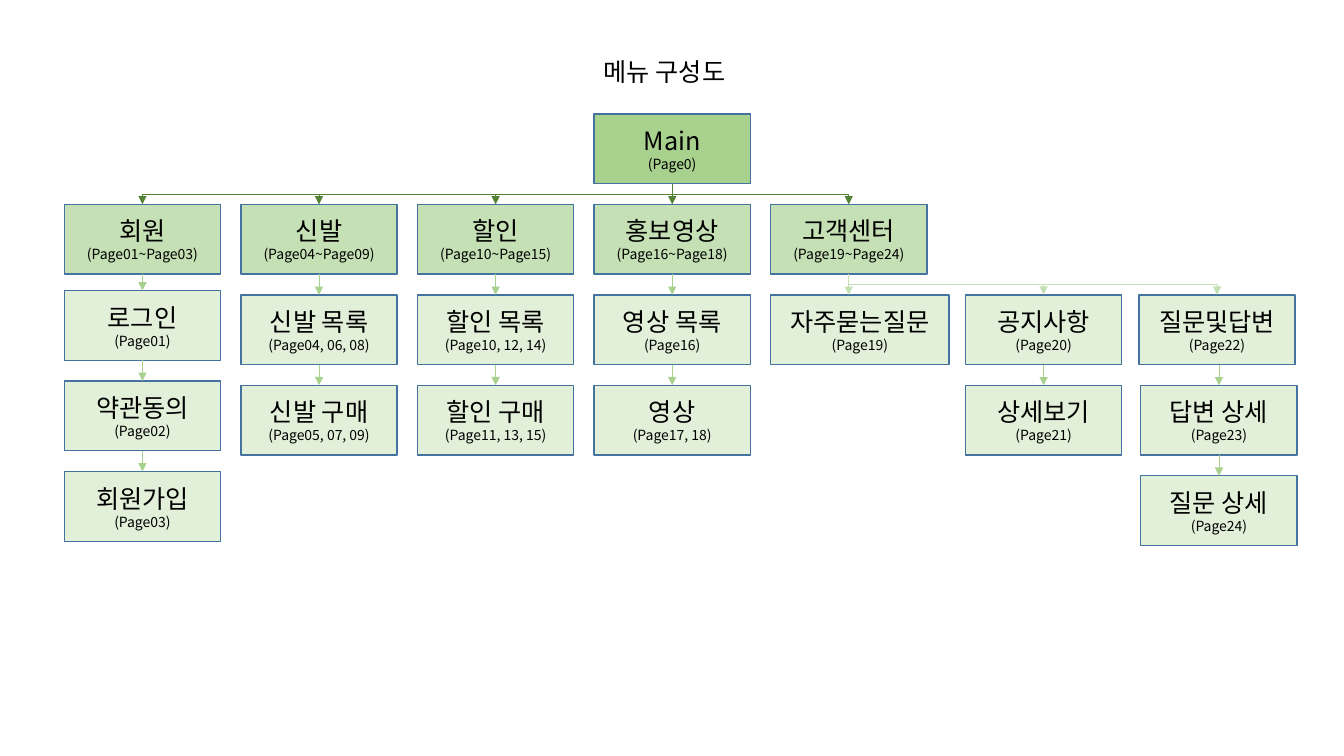
from lxml.etree import SubElement
from pptx import Presentation
from pptx.dml.color import RGBColor
from pptx.enum.shapes import MSO_CONNECTOR, MSO_SHAPE
from pptx.enum.text import MSO_ANCHOR, MSO_AUTO_SIZE, PP_ALIGN
from pptx.oxml.ns import qn
from pptx.util import Cm, Pt

FONT = "Noto Sans CJK KR"
MAIN_FILL, SECTION_FILL, PAGE_FILL = "A9D18E", "C5E0B4", "E2F0D9"
BOX_LINE = "43739E"
MAIN_ARROW, PAGE_ARROW, SUPPORT_ARROW = "548235", "A9D18E", "C5E0B4"

BOX_WIDTH, BOX_HEIGHT = 3.94, 1.76
FIRST_LEFT, COLUMN_STEP = 1.62, 4.45
FIRST_TOP, ROW_STEP = 2.87, 2.28
MEMBER_RISE = 0.11
MAIN_COLUMN = 3

SECTIONS = [
    ("회원", "(Page01~Page03)",
     [("로그인", "(Page01)"), ("약관동의", "(Page02)"), ("회원가입", "(Page03)")]),
    ("신발", "(Page04~Page09)",
     [("신발 목록", "(Page04, 06, 08)"), ("신발 구매", "(Page05, 07, 09)")]),
    ("할인", "(Page10~Page15)",
     [("할인 목록", "(Page10, 12, 14)"), ("할인 구매", "(Page11, 13, 15)")]),
    ("홍보영상", "(Page16~Page18)",
     [("영상 목록", "(Page16)"), ("영상", "(Page17, 18)")]),
    ("고객센터", "(Page19~Page24)", []),
]
# Left edge and width of the head, left edge of the pages below, then the pages
SUPPORT_BRANCHES = [
    (19.42, 4.5, 19.42, [("자주묻는질문", "(Page19)")]),
    (24.33, BOX_WIDTH, 24.33, [("공지사항", "(Page20)"), ("상세보기", "(Page21)")]),
    (28.7, BOX_WIDTH, 28.75,
     [("질문및답변", "(Page22)"), ("답변 상세", "(Page23)"), ("질문 상세", "(Page24)")]),
]


def color(hex_value):
    return RGBColor.from_string(hex_value)


def row_top(row):
    return FIRST_TOP + row * ROW_STEP


def column_left(column):
    return FIRST_LEFT + column * COLUMN_STEP


def center_x(box):
    return box.left + box.width // 2


def add_run(paragraph, text, size):
    run = paragraph.add_run()
    run.text = text
    run.font.size = Pt(size)
    run.font.name = FONT
    run.font.color.rgb = color("000000")
    SubElement(run.font._element, qn("a:ea"), typeface=FONT)


def add_title(slide, text):
    title = slide.shapes.title
    title.left, title.top, title.width, title.height = Cm(14.96), Cm(1.3), Cm(3.94), Cm(1.02)
    frame = title.text_frame
    frame.word_wrap = False
    frame.auto_size = MSO_AUTO_SIZE.SHAPE_TO_FIT_TEXT
    frame.vertical_anchor = MSO_ANCHOR.TOP
    frame.paragraphs[0].alignment = PP_ALIGN.LEFT
    add_run(frame.paragraphs[0], text, 18)


def add_box(slide, left, top, name, pages, fill, width=BOX_WIDTH):
    box = slide.shapes.add_shape(
        MSO_SHAPE.RECTANGLE, Cm(left), Cm(top), Cm(width), Cm(BOX_HEIGHT))
    box.shadow.inherit = False
    box.fill.solid()
    box.fill.fore_color.rgb = color(fill)
    box.line.color.rgb = color(BOX_LINE)
    box.line.width = Pt(1)
    frame = box.text_frame
    frame.word_wrap = True
    frame.vertical_anchor = MSO_ANCHOR.MIDDLE
    for paragraph, text, size in (
            (frame.paragraphs[0], name, 18), (frame.add_paragraph(), pages, 10)):
        paragraph.alignment = PP_ALIGN.CENTER
        add_run(paragraph, text, size)
    return box


def add_arrow(slide, kind, start, end, line_color):
    arrow = slide.shapes.add_connector(kind, *start, *end)
    arrow.line.color.rgb = color(line_color)
    arrow.line.width = Pt(0.5)
    SubElement(arrow.line._get_or_add_ln(), qn("a:tailEnd"), type="triangle")
    SubElement(arrow._element.spPr, qn("a:effectLst"))
    return arrow


def add_drop(slide, parent, child, x, line_color):
    """Vertical arrow at x, joined to each box whose middle lies there."""
    arrow = add_arrow(slide, MSO_CONNECTOR.STRAIGHT, (x, parent.top + parent.height),
                      (x, child.top), line_color)
    if x == center_x(parent):
        arrow.begin_connect(parent, 2)
    if x == center_x(child):
        arrow.end_connect(child, 0)


def add_elbow(slide, parent, child, line_color):
    """Arrow that leaves downwards, runs sideways and enters from above."""
    x1, y1 = center_x(parent), parent.top + parent.height
    x2, y2 = center_x(child), child.top
    arrow = add_arrow(slide, MSO_CONNECTOR.ELBOW, (x1, y1), (x2, y2), line_color)
    arrow.begin_connect(parent, 2)
    arrow.end_connect(child, 0)
    # A quarter turn makes the first and last segments vertical
    across, down = abs(x2 - x1), y2 - y1
    frame = arrow._element.spPr.find(qn("a:xfrm"))
    frame.attrib.clear()
    frame.set("rot", "5400000" if x2 < x1 else "16200000")
    if x2 > x1:
        frame.set("flipH", "1")
    arrow.left, arrow.top = (x1 + x2 - down) // 2, (y1 + y2 - across) // 2
    arrow.width, arrow.height = down, across


def add_pages(slide, parent, left, top, pages):
    """Chain of page boxes below a parent box."""
    for step, (name, numbers) in enumerate(pages):
        page = add_box(slide, left, top + step * ROW_STEP, name, numbers, PAGE_FILL)
        add_drop(slide, parent, page, center_x(page), PAGE_ARROW)
        parent = page


def add_support_branches(slide, support):
    for left, width, pages_left, (head_text, *pages) in SUPPORT_BRANCHES:
        head = add_box(slide, left, row_top(2), *head_text, PAGE_FILL, width)
        if head.left < center_x(support):
            add_drop(slide, support, head, center_x(support), SUPPORT_ARROW)
        else:
            add_elbow(slide, support, head, SUPPORT_ARROW)
        add_pages(slide, head, pages_left, row_top(3), pages)


def main():
    presentation = Presentation()
    presentation.slide_width, presentation.slide_height = Cm(33.87), Cm(19.05)
    slide = presentation.slides.add_slide(presentation.slide_layouts[5])
    add_title(slide, "메뉴 구성도")

    home = add_box(slide, column_left(MAIN_COLUMN), row_top(0), "Main", "(Page0)", MAIN_FILL)
    for column, (name, numbers, pages) in enumerate(SECTIONS):
        left = column_left(column)
        section = add_box(slide, left, row_top(1), name, numbers, SECTION_FILL)
        if column == MAIN_COLUMN:
            add_drop(slide, home, section, center_x(home), MAIN_ARROW)
        else:
            add_elbow(slide, home, section, MAIN_ARROW)
        pages_top = row_top(2) - (MEMBER_RISE if column == 0 else 0)
        add_pages(slide, section, left, pages_top, pages)
    add_support_branches(slide, section)

    presentation.save("out.pptx")


if __name__ == "__main__":
    main()
